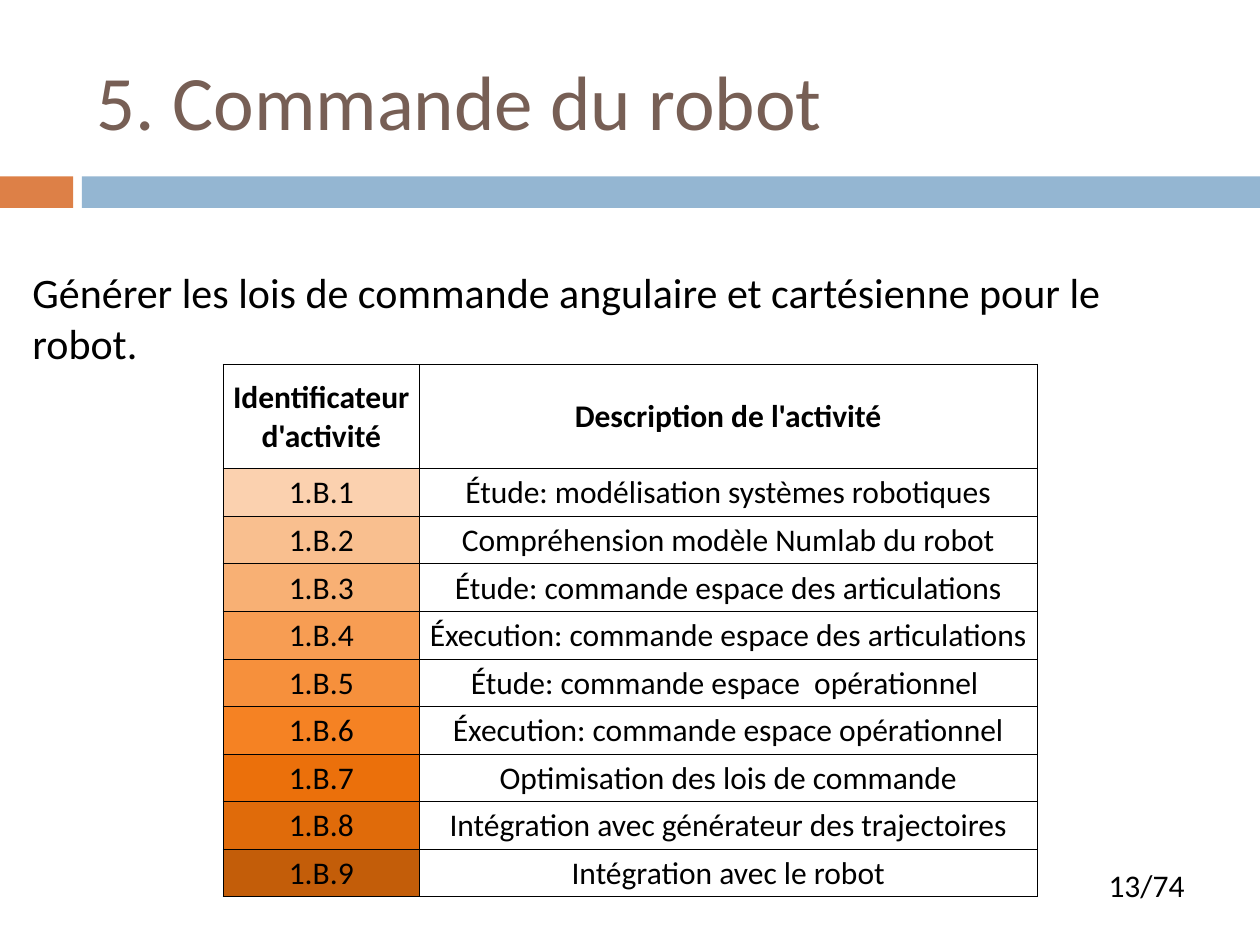
import dataclasses

import pptx
import pptx.dml.color
import pptx.enum.shapes
import pptx.enum.text
import pptx.oxml
import pptx.oxml.ns
import pptx.util

COLUMNS, ROWS = 100, 75
CELL = pptx.util.Inches(0.1)
MIDDLE = pptx.enum.text.MSO_ANCHOR.MIDDLE
TOP = pptx.enum.text.MSO_ANCHOR.TOP
CENTER = pptx.enum.text.PP_ALIGN.CENTER

HEADINGS = ("Identificateur d'activité", "Description de l'activité")
ACTIVITIES = (
    "Étude: modélisation systèmes robotiques",
    "Compréhension modèle Numlab du robot",
    "Étude: commande espace des articulations",
    "Éxecution: commande espace des articulations",
    "Étude: commande espace  opérationnel ",
    "Éxecution: commande espace opérationnel",
    "Optimisation des lois de commande",
    "Intégration avec générateur des trajectoires",
    "Intégration avec le robot",
)


@dataclasses.dataclass(frozen=True)
class Theme:
    """Colours, font and type sizes of the slide."""

    font: str = "Calibri"
    ink: str = "000000"
    title: str = "775F55"
    accent: str = "DD8047"
    band: str = "94B6D2"
    oranges: tuple = ("FBD1AF", "F9BF8F", "F8B074", "F79D53", "F6903C",
                      "F58223", "EB700B", "E06B0A", "C35D09")
    title_size: int = 44
    body_size: int = 24
    table_size: int = 18
    border: float = 0.5


THEME = Theme()


def grid(*cells):
    """Turn grid cells into slide lengths."""
    return [round(CELL * cell) for cell in cells]


def rgb(value):
    """Make a colour from its hexadecimal value."""
    return pptx.dml.color.RGBColor.from_string(value)


def apply(target, values):
    """Set each attribute named in values on the target."""
    for attribute, value in values.items():
        setattr(target, attribute, value)


def write(paragraph, text, size, color=THEME.ink, bold=False):
    """Write one formatted run into a paragraph."""
    run = paragraph.add_run()
    run.text = text
    apply(run.font, {"name": THEME.font, "size": pptx.util.Pt(size), "bold": bold})
    run.font.color.rgb = rgb(color)


def add_bar(slide, area, color):
    """Add a plain coloured bar."""
    bar = slide.shapes.add_shape(pptx.enum.shapes.MSO_SHAPE.RECTANGLE, *grid(*area))
    bar.shadow.inherit = False
    bar.fill.solid()
    bar.fill.fore_color.rgb = rgb(color)
    bar.line.fill.background()


def add_text(slide, area, text, size, color=THEME.ink, anchor=TOP):
    """Add a wrapping line of text."""
    frame = slide.shapes.add_textbox(*grid(*area)).text_frame
    apply(frame, {"word_wrap": True, "vertical_anchor": anchor})
    write(frame.paragraphs[0], text, size, color)


def add_borders(cell):
    """Draw thin lines on the four sides of a cell."""
    properties = cell._tc.get_or_add_tcPr()
    for position, side in enumerate(("lnL", "lnR", "lnT", "lnB")):
        properties.insert(position, pptx.oxml.parse_xml(
            f'<a:{side} {pptx.oxml.ns.nsdecls("a")} w="{pptx.util.Pt(THEME.border)}">'
            f'<a:solidFill><a:srgbClr val="{THEME.ink}"/></a:solidFill></a:{side}>'))


def fill_cell(cell, text, color=None, bold=False):
    """Write and format one table cell."""
    inset = pptx.util.Inches(0.01)
    apply(cell, {"margin_left": inset, "margin_right": inset, "margin_top": inset,
                 "margin_bottom": 0, "vertical_anchor": MIDDLE})
    if color:
        cell.fill.solid()
        cell.fill.fore_color.rgb = rgb(color)
    else:
        cell.fill.background()
    paragraph = cell.text_frame.paragraphs[0]
    paragraph.alignment = CENTER
    write(paragraph, text, THEME.table_size, bold=bold)
    add_borders(cell)


def add_activities(slide, area, widths, heading_height):
    """Add the table of numbered activities."""
    frame = slide.shapes.add_table(len(ACTIVITIES) + 1, len(HEADINGS), *grid(*area))
    table = frame.table
    apply(table, {"first_row": False, "horz_banding": False})
    for column, width in zip(table.columns, grid(*widths)):
        column.width = width
    activity_height = (area[3] - heading_height) / len(ACTIVITIES)
    heights = grid(heading_height, *[activity_height] * len(ACTIVITIES))
    for row, height in zip(table.rows, heights):
        row.height = height
    for column, heading in enumerate(HEADINGS):
        fill_cell(table.cell(0, column), heading, bold=True)
    for number, (activity, orange) in enumerate(zip(ACTIVITIES, THEME.oranges), 1):
        fill_cell(table.cell(number, 0), f"1.B.{number}", orange)
        fill_cell(table.cell(number, 1), activity)


def main():
    """Build and save the slide."""
    deck = pptx.Presentation()
    apply(deck, {"slide_width": CELL * COLUMNS, "slide_height": CELL * ROWS})
    slide = deck.slides.add_slide(deck.slide_layouts[6])
    add_bar(slide, (0, 14, 5.8, 2.5), THEME.accent)
    add_bar(slide, (6.5, 14, COLUMNS - 6.5, 2.5), THEME.band)
    add_text(slide, (87, 68.2, 9.4, 3.1), "13/74", THEME.table_size)
    add_text(slide, (6.7, 2.5, 89.2, 10.8), "5. Commande du robot",
             THEME.title_size, THEME.title, MIDDLE)
    add_activities(slide, (17.7, 28.9, 64.6, 42.3), (15.6, 49), 8.3)
    add_text(slide, (1.6, 20.7, 95, 5),
             "Générer les lois de commande angulaire et cartésienne pour le robot.",
             THEME.body_size)
    deck.save("out.pptx")


if __name__ == "__main__":
    main()
